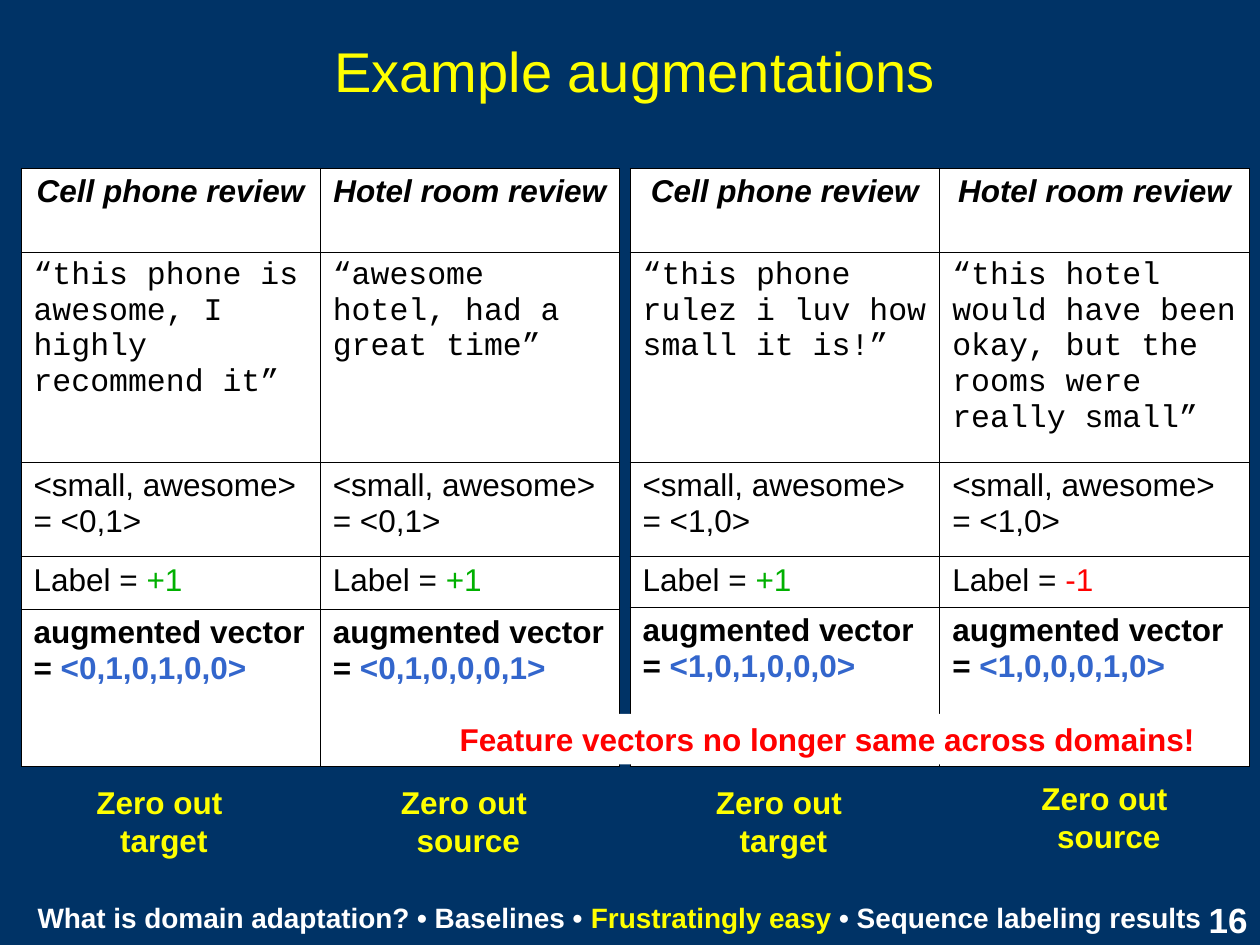
import pptx
import pptx.util
import pptx.dml.color
import pptx.enum.text
import pptx.enum.shapes
import pptx.oxml
import pptx.oxml.ns

ALIGN = pptx.enum.text.PP_ALIGN
ANCHOR = pptx.enum.text.MSO_ANCHOR
COLORS = {
    "navy": "003366", "yellow": "FFFF00", "white": "FFFFFF", "black": "000000",
    "green": "00B000", "red": "FF0000", "blue": "3366CC",
}
COLS, ROWS = 120, 90
prs = pptx.Presentation()
prs.slide_width = pptx.util.Inches(10)
prs.slide_height = pptx.util.Inches(7.5)


def rgb(name):
    return pptx.dml.color.RGBColor.from_string(COLORS[name])


def across(cols):
    return round(prs.slide_width * cols / COLS)


def down(rows):
    return round(prs.slide_height * rows / ROWS)


def place(box):
    x, y, w, h = box
    return across(x), down(y), across(w), down(h)


def write(tf, parts, size, color="black", bold=False, italic=False,
          face="Arial", align=ALIGN.LEFT):
    p = tf.paragraphs[0]
    p.alignment = align
    p.font.size = pptx.util.Pt(size)
    p.font.name = face
    p.font.bold = bold
    p.font.italic = italic
    p.font.color.rgb = rgb(color)
    if isinstance(parts, str):
        p.text = parts
        return
    for text, tint in parts:
        r = p.add_run()
        r.text = text
        r.font.color.rgb = rgb(tint)


def add_text(s, box, parts, size, wrap=True, anchor=ANCHOR.TOP, **style):
    tf = s.shapes.add_textbox(*place(box)).text_frame
    tf.word_wrap = wrap
    tf.vertical_anchor = anchor
    write(tf, parts, size, **style)


def style_cell(cell):
    tcPr = cell._tc.get_or_add_tcPr()
    for side in "LRTB":
        tcPr.append(pptx.oxml.parse_xml(
            f'<a:ln{side} {pptx.oxml.ns.nsdecls("a")} w="5715"><a:solidFill>'
            f'<a:srgbClr val="{COLORS["black"]}"/></a:solidFill></a:ln{side}>'))
    cell.fill.solid()
    cell.fill.fore_color.rgb = rgb("white")


def add_reviews(s, box, heights, reviews):
    table = s.shapes.add_table(len(heights), len(reviews), *place(box)).table
    table.first_row = table.horz_banding = False
    for row, height in zip(table.rows, heights):
        row.height = down(height)
    for j, (domain, quote, features, label, vector) in enumerate(reviews):
        table.columns[j].width = across(box[2] / len(reviews))
        label_color = "green" if label == "+1" else "red"
        entries = [
            (domain, dict(bold=True, italic=True, align=ALIGN.CENTER)),
            (quote, dict(face="Courier New")),
            (f"<small, awesome> = {features}", {}),
            ([("Label = ", "black"), (label, label_color)], {}),
            ([("augmented vector = ", "black"), (vector, "blue")], dict(bold=True)),
        ]
        for i, (parts, style) in enumerate(entries):
            cell = table.cell(i, j)
            style_cell(cell)
            write(cell.text_frame, parts, 18, **style)


def add_captions(s, spots):
    for x, y, domain in spots:
        add_text(s, (x, y, 15.2, 8.4), f"Zero out \n{domain}", 18, wrap=False,
                 color="yellow", bold=True, align=ALIGN.CENTER)


def add_banner(s, box, text):
    sp = s.shapes.add_shape(pptx.enum.shapes.MSO_SHAPE.RECTANGLE, *place(box))
    sp.shadow.inherit = False
    sp.fill.solid()
    sp.fill.fore_color.rgb = rgb("white")
    sp.line.fill.background()
    tf = sp.text_frame
    tf.word_wrap = False
    tf.vertical_anchor = ANCHOR.TOP
    write(tf, text, 18, color="red", bold=True)


def add_footer(s, box):
    x, y, w, h = box
    add_text(s, (x, y, w, h), [
        ("What is domain adaptation? • Baselines • ", "white"),
        ("Frustratingly easy", "yellow"),
        (" • Sequence labeling results", "white"),
    ], 16, bold=True, align=ALIGN.CENTER)
    add_text(s, (x + w - 3, y - 0.2, 7, 5), "16", 20,
             color="white", bold=True, align=ALIGN.RIGHT)


def build():
    s = prs.slides.add_slide(prs.slide_layouts[6])
    s.background.fill.solid()
    s.background.fill.fore_color.rgb = rgb("navy")
    add_text(s, (7, 2, 107, 9.4), "Example augmentations", 32,
             anchor=ANCHOR.MIDDLE, color="yellow", align=ALIGN.CENTER)
    add_reviews(s, (2, 16, 57, 57), (8, 20, 9, 5, 15), [
        ("Cell phone review", "“this phone is awesome, I highly recommend it”",
         "<0,1>", "+1", "<0,1,0,1,0,0>"),
        ("Hotel room review", "“awesome hotel, had a great time”",
         "<0,1>", "+1", "<0,1,0,0,0,1>"),
    ])
    add_reviews(s, (60, 16, 59, 57), (8, 20, 9, 4.8, 15.2), [
        ("Cell phone review", "“this phone rulez i luv how small it is!”",
         "<1,0>", "+1", "<1,0,1,0,0,0>"),
        ("Hotel room review",
         "“this hotel would have been okay, but the rooms were really small”",
         "<1,0>", "-1", "<1,0,0,0,1,0>"),
    ])
    add_captions(s, [(8, 74, "target"), (67, 74, "target"),
                     (37, 74, "source"), (98, 73.6, "source")])
    add_footer(s, (2, 85.2, 114, 4.4))
    add_banner(s, (42.6, 68, 72.4, 4.8),
               "Feature vectors no longer same across domains!")


if __name__ == "__main__":
    build()
    prs.save("out.pptx")
